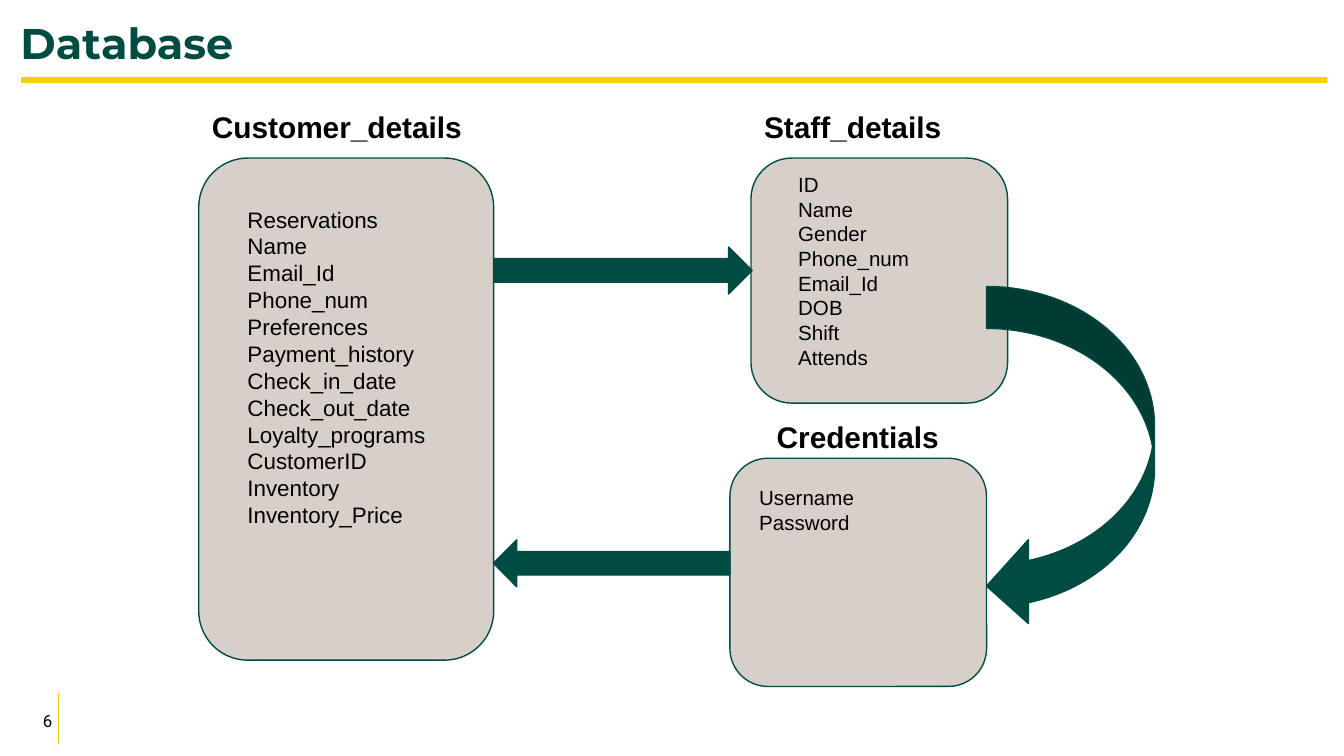
from pptx import Presentation
from pptx.dml.color import RGBColor
from pptx.enum.shapes import MSO_CONNECTOR, MSO_SHAPE
from pptx.enum.text import MSO_ANCHOR, PP_ALIGN
from pptx.oxml.ns import qn
from pptx.util import Pt
from lxml import etree

STRAIGHT = MSO_CONNECTOR.STRAIGHT
ROUNDED = MSO_SHAPE.ROUNDED_RECTANGLE
RIGHT_ARROW = MSO_SHAPE.RIGHT_ARROW
LEFT_ARROW = MSO_SHAPE.LEFT_ARROW
CURVED_ARROW = MSO_SHAPE.CURVED_LEFT_ARROW
TOP, MIDDLE, BOTTOM = MSO_ANCHOR.TOP, MSO_ANCHOR.MIDDLE, MSO_ANCHOR.BOTTOM
LEFT, RIGHT, JUSTIFY = PP_ALIGN.LEFT, PP_ALIGN.RIGHT, PP_ALIGN.JUSTIFY

GREEN, GOLD, STONE, BLACK = "004C42", "FFCE00", "D7D0C9", "000000"

CUSTOMER_FIELDS = [
    "Reservations", "Name", "Email_Id", "Phone_num", "Preferences",
    "Payment_history", "Check_in_date", "Check_out_date",
    "Loyalty_programs", "CustomerID", "Inventory", "Inventory_Price",
]
STAFF_FIELDS = ["ID", "Name", "Gender", "Phone_num", "Email_Id", "DOB",
                "Shift", "Attends"]
CREDENTIAL_FIELDS = ["Username", "Password"]


def color(hex_code):
    return RGBColor.from_string(hex_code)


def points(*lengths):
    return [Pt(length) for length in lengths]


def add_rule(slide, ends, width):
    rule = slide.shapes.add_connector(STRAIGHT, *points(*ends))
    rule.line.color.rgb = color(GOLD)
    rule.line.width = Pt(width)
    etree.SubElement(rule._element.spPr, qn("a:effectLst"))


def add_figure(slide, preset, bounds, fill):
    figure = slide.shapes.add_shape(preset, *points(*bounds))
    figure.shadow.inherit = False
    figure.fill.solid()
    figure.fill.fore_color.rgb = color(fill)
    figure.line.color.rgb = color(GREEN)
    figure.line.width = Pt(0.75)


def add_text(slide, bounds, lines, size, font="Arial", ink=BLACK, bold=False,
             align=LEFT, anchor=TOP, inset=7.2, spacing=None):
    frame = slide.shapes.add_textbox(*points(*bounds)).text_frame
    frame.word_wrap = True
    frame.vertical_anchor = anchor
    frame.margin_left = frame.margin_right = Pt(inset)
    frame.margin_top = frame.margin_bottom = Pt(inset)
    for index, line in enumerate(lines):
        paragraph = frame.paragraphs[0] if index == 0 else frame.add_paragraph()
        paragraph.alignment = align
        paragraph.line_spacing = spacing or Pt(size * 1.2)
        run = paragraph.add_run()
        run.text = line
        run.font.name = font
        run.font.size = Pt(size)
        run.font.bold = bold
        run.font.color.rgb = color(ink)


def add_entity(slide, name, name_bounds, box, fields, field_bounds, size,
               align=LEFT):
    add_figure(slide, ROUNDED, box, STONE)
    add_text(slide, field_bounds, fields, size, align=align)
    add_text(slide, name_bounds, [name], 16, bold=True)


def main():
    deck = Presentation()
    deck.slide_width, deck.slide_height = points(720, 405)
    slide = deck.slides.add_slide(deck.slide_layouts[6])

    add_rule(slide, (11, 43, 711, 43), 3)
    add_rule(slide, (31.5, 371.5, 31.5, 398.5), 0.75)
    add_text(slide, (0, 375, 33, 22), ["6"], 9, font="Roboto", align=RIGHT,
             anchor=MIDDLE, inset=5, spacing=1.0)
    add_text(slide, (11, 0, 700, 36.7), ["Database"], 23, font="Montserrat",
             ink=GREEN, bold=True, anchor=BOTTOM, inset=0, spacing=0.9)

    add_entity(slide, "Customer_details", (106.5, 51, 158, 34),
               (106.5, 84.7, 158, 269), CUSTOMER_FIELDS,
               (125.5, 103, 120, 233), 12, align=JUSTIFY)
    add_entity(slide, "Staff_details", (402.3, 51, 137.5, 34),
               (402.3, 84.7, 137.5, 131.3), STAFF_FIELDS,
               (420.5, 85, 101, 143), 11)
    add_entity(slide, "Credentials", (409, 217.3, 120, 34),
               (391, 245.5, 137.5, 122.3), CREDENTIAL_FIELDS,
               (399.6, 252.7, 120, 41), 11)

    add_figure(slide, RIGHT_ARROW, (265, 132.3, 138, 25.2), GREEN)
    add_figure(slide, CURVED_ARROW, (528.5, 153.5, 90, 183), GREEN)
    add_figure(slide, LEFT_ARROW, (264.3, 289.2, 126.7, 25.2), GREEN)

    deck.save("out.pptx")


if __name__ == "__main__":
    main()
